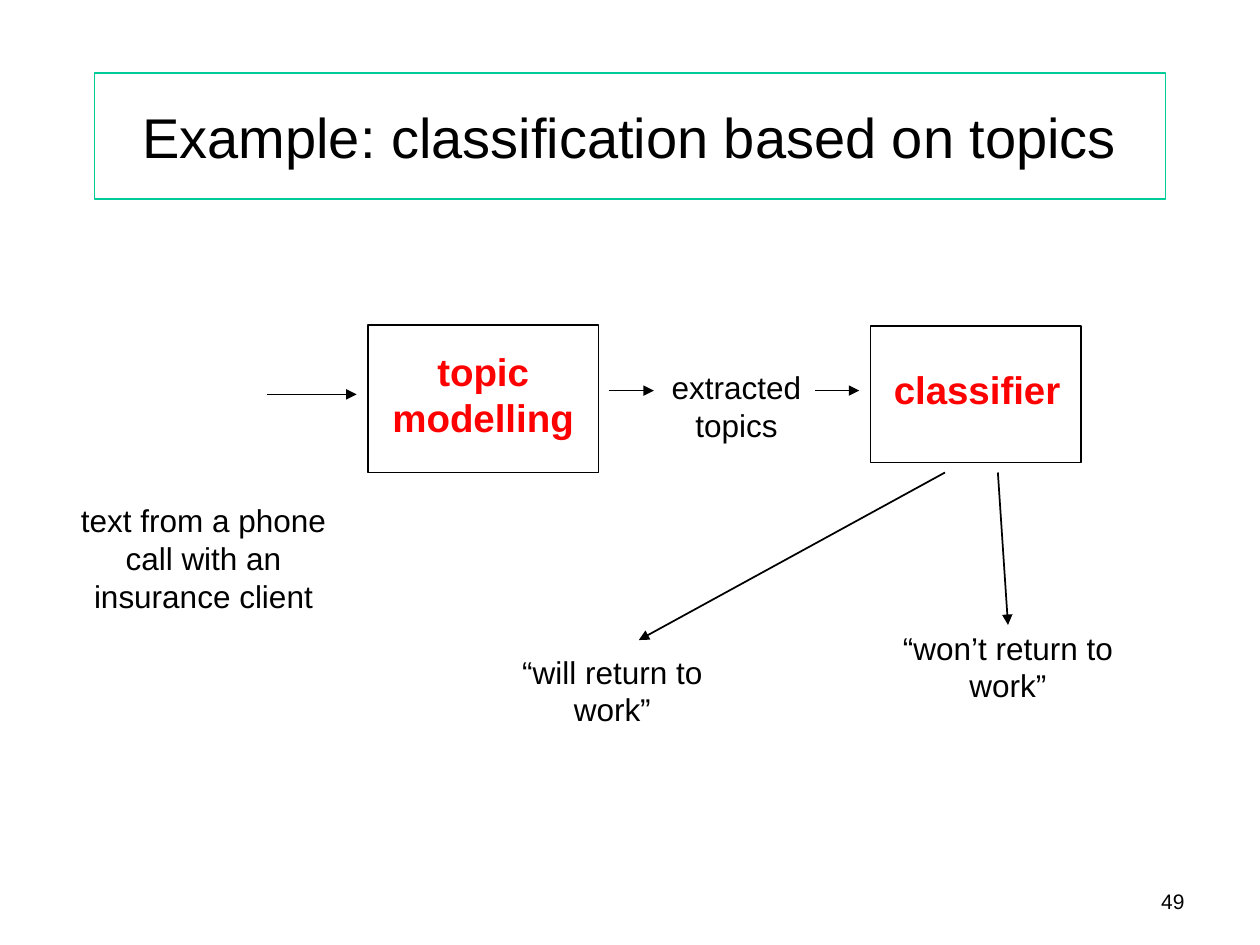
from lxml import etree
from pptx import Presentation
from pptx.dml.color import RGBColor
from pptx.enum.shapes import MSO_CONNECTOR, MSO_SHAPE
from pptx.enum.text import MSO_ANCHOR, PP_ALIGN
from pptx.oxml.ns import qn
from pptx.util import Inches, Pt

BLACK, RED, GREEN = "000000", "FF0000", "00CC99"


def color(hex_code):
    return RGBColor.from_string(hex_code)


def write(shape, text, size, hex_code=BLACK, bold=False, align=PP_ALIGN.CENTER):
    frame = shape.text_frame
    frame.word_wrap = True
    frame.text = text
    paragraph = frame.paragraphs[0]
    paragraph.alignment = align
    font = paragraph.runs[0].font
    font.name, font.size, font.bold = "Arial", Pt(size), bold
    font.color.rgb = color(hex_code)


def add_label(slide, box, text, size=18, **style):
    label = slide.shapes.add_textbox(*map(Inches, box))
    write(label, text, size, **style)


def add_frame(slide, box, hex_code, weight):
    frame = slide.shapes.add_shape(MSO_SHAPE.RECTANGLE, *map(Inches, box))
    frame.shadow.inherit = False
    frame.fill.background()
    frame.line.color.rgb = color(hex_code)
    frame.line.width = Pt(weight)
    return frame


def add_arrow(slide, start, end):
    arrow = slide.shapes.add_connector(
        MSO_CONNECTOR.STRAIGHT, *map(Inches, start + end))
    arrow.line.color.rgb = color(BLACK)
    arrow.line.width = Pt(1)
    etree.SubElement(arrow.line._get_or_add_ln(), qn("a:tailEnd"), type="triangle")
    etree.SubElement(arrow._element.spPr, qn("a:effectLst"))


def add_title(slide, box):
    title = add_frame(slide, box, GREEN, 0.75)
    write(title, "Example: classification based on topics", 32)
    title.text_frame.vertical_anchor = MSO_ANCHOR.MIDDLE


def add_stage(slide, box, text, label_box):
    """A framed processing step with its red name."""
    add_label(slide, label_box, text, 22, hex_code=RED, bold=True)
    add_frame(slide, box, BLACK, 1)


def add_pipeline(slide, left, top):
    """Source text, topic model, topics and classifier, from left to right."""
    def at(x, y, *size):
        return (left + x, top + y) + size

    add_label(slide, at(0, 1.35, 2.23, 1.01),
              "text from a phone call with an insurance client")
    add_stage(slide, at(2.42, 0, 1.83, 1.17), "topic modelling",
              at(2.5, 0.13, 1.67, 0.84))
    add_label(slide, at(4.69, 0.29, 1.31, 0.71), "extracted topics")
    add_stage(slide, at(6.41, 0.01, 1.67, 1.08), "classifier",
              at(6.42, 0.28, 1.67, 0.47))

    # Flow between the steps
    for start, end, y in ((1.62, 2.33, 0.55), (4.33, 4.69, 0.52), (5.97, 6.32, 0.52)):
        add_arrow(slide, at(start, y), at(end, y))


def add_outcomes(slide, left, top):
    """The two classes below the classifier."""
    outcomes = (
        ("“will return to work”", (0, 1.38), (3.64, 0), (1.21, 1.33)),
        ("“won’t return to work”", (3.14, 1.19), (4.06, 0), (4.14, 1.21)),
    )
    for text, corner, start, end in outcomes:
        place, tail, head = ((left + x, top + y) for x, y in (corner, start, end))
        add_arrow(slide, tail, head)
        add_label(slide, place + (2, 0.71), text)


def main():
    prs = Presentation()
    prs.slide_width, prs.slide_height = Inches(10), Inches(7.5)
    slide = prs.slides.add_slide(prs.slide_layouts[6])
    add_title(slide, (0.75, 0.58, 8.5, 1))
    add_pipeline(slide, 0.5, 2.58)
    add_outcomes(slide, 3.86, 3.75)
    # Page number
    add_label(slide, (9, 7, 0.5, 0.33), "49", 12, align=PP_ALIGN.RIGHT)
    prs.save("out.pptx")


if __name__ == "__main__":
    main()
